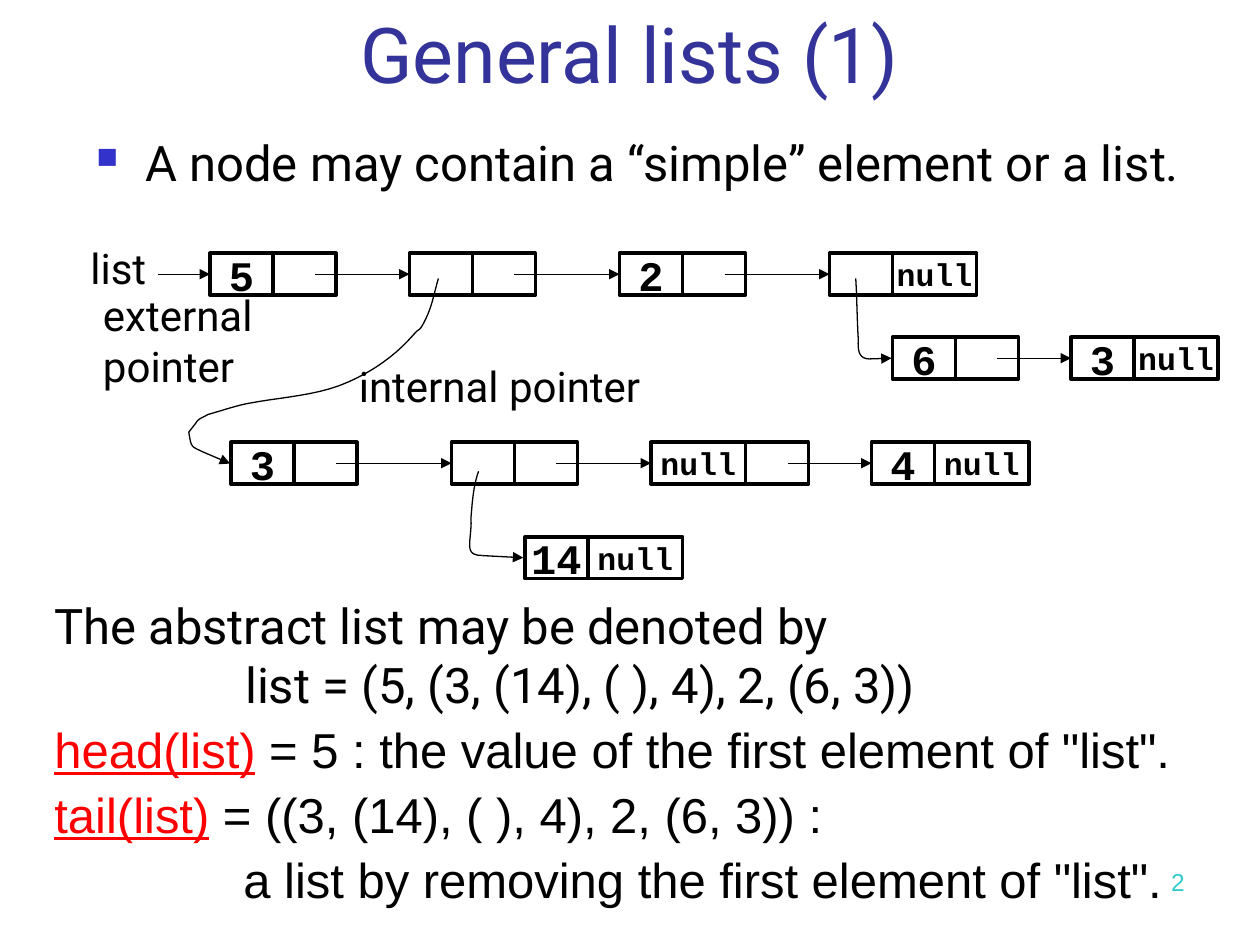
from lxml import etree
from pptx import Presentation
from pptx.dml.color import RGBColor
from pptx.enum.shapes import MSO_CONNECTOR, MSO_SHAPE
from pptx.enum.text import MSO_ANCHOR as ANCHOR, PP_ALIGN as ALIGN
from pptx.oxml.ns import qn
from pptx.util import Pt

BLACK = RGBColor(0x00, 0x00, 0x00)
NAVY = RGBColor(0x33, 0x33, 0x99)
BLUE = RGBColor(0x33, 0x33, 0xCC)
RED = RGBColor(0xFF, 0x00, 0x00)
TEAL = RGBColor(0x33, 0xCC, 0xCC)
CELL_H = 24
CELL_W = 36


def add_run(p, text, size, font="Roboto", color=BLACK, bold=False, underline=False):
    r = p.add_run()
    r.text = text
    f = r.font
    f.size, f.name, f.bold, f.underline = Pt(size), font, bold, underline
    f.color.rgb = color


def add_box(s, x, y, w, h, wrap=True):
    tf = s.shapes.add_textbox(Pt(x), Pt(y), Pt(w), Pt(h)).text_frame
    tf.word_wrap = wrap
    return tf


def add_label(s, x, y, w, h, *lines):
    tf = add_box(s, x, y, w, h, wrap=False)
    for i, line in enumerate(lines):
        p = tf.add_paragraph() if i else tf.paragraphs[0]
        add_run(p, line, 24)


def add_title(s, x, y, w, h):
    tf = add_box(s, x, y, w, h)
    tf.vertical_anchor = ANCHOR.MIDDLE
    p = tf.paragraphs[0]
    p.alignment = ALIGN.CENTER
    add_run(p, "General lists (1)", 44, color=NAVY)


def add_bullet(s, x, y, w, h):
    p = add_box(s, x, y, w, h).paragraphs[0]
    add_run(p, "A node may contain a “simple” element or a list.", 28)
    pPr = p._p.get_or_add_pPr()
    pPr.set("marL", str(Pt(28)))
    pPr.set("indent", str(Pt(-28)))
    clr = etree.SubElement(pPr, qn("a:buClr"))
    etree.SubElement(clr, qn("a:srgbClr"), val=str(BLUE))
    etree.SubElement(pPr, qn("a:buSzPct"), val="60000")
    etree.SubElement(pPr, qn("a:buChar"), char="■")


def add_cell(s, x, y, w, text):
    sp = s.shapes.add_shape(MSO_SHAPE.RECTANGLE, Pt(x), Pt(y), Pt(w), Pt(CELL_H))
    sp.shadow.inherit = False
    sp.fill.background()
    sp.line.color.rgb = BLACK
    sp.line.width = Pt(2)
    if text:
        tf = sp.text_frame
        tf.word_wrap = False
        tf.vertical_anchor = ANCHOR.MIDDLE
        p = tf.paragraphs[0]
        p.alignment = ALIGN.CENTER
        add_run(p, text, 18 if text == "null" else 24, "Courier New", bold=True)


def add_arrow(s, x1, y1, x2, y2):
    c = s.shapes.add_connector(MSO_CONNECTOR.STRAIGHT, Pt(x1), Pt(y1), Pt(x2), Pt(y2))
    c.line.color.rgb = BLACK
    c.line.width = Pt(0.75)
    etree.SubElement(c.line._get_or_add_ln(), qn("a:tailEnd"), type="triangle")
    etree.SubElement(c._element.spPr, qn("a:effectLst"))


def add_chain(s, x, y, nodes, null_w):
    """Draw linked nodes given as (offset, head, tail); a node without a tail links on."""
    for i, (dx, head, tail) in enumerate(nodes):
        head_w = null_w if head == "null" else CELL_W
        tail_x = x + dx + head_w
        add_cell(s, x + dx, y, head_w, head)
        add_cell(s, tail_x, y, null_w if tail else CELL_W, tail)
        if not tail:
            mid = y + CELL_H / 2
            add_arrow(s, tail_x + 24, mid, x + nodes[i + 1][0], mid)


def add_curved_pointer(s, x, y, curves, tip, steps=10):
    """Draw cubic curves from (x, y), then an arrow to tip; all offsets are from (x, y)."""
    points, start = [], (0, 0)
    for c1, c2, end in curves:
        for i in range(1, steps + 1):
            t = i / steps
            u = 1 - t
            px, py = (u**3 * a + 3 * u * u * t * b + 3 * u * t * t * c + t**3 * d
                      for a, b, c, d in zip(start, c1, c2, end))
            points.append((Pt(x + px), Pt(y + py)))
        start = end
    fb = s.shapes.build_freeform(Pt(x), Pt(y))
    fb.add_line_segments(points, close=False)
    sp = fb.convert_to_shape()
    sp.shadow.inherit = False
    sp.fill.background()
    sp.line.color.rgb = BLACK
    sp.line.width = Pt(0.75)
    add_arrow(s, x + start[0], y + start[1], x + tip[0], y + tip[1])


def add_diagram(s, x, y):
    """Draw the nested list; (x, y) is the top left corner of its first node."""
    add_label(s, x - 75.4, y - 9.4, 47, 36, "list")
    add_label(s, x - 68.2, y + 17.3, 113, 65, "external", "pointer")
    add_label(s, x + 78, y + 57.6, 191, 36, "internal pointer")
    add_arrow(s, x - 30, y + 12, x, y + 12)

    add_chain(s, x, y, [(0, "5", ""), (114, "", ""), (234, "2", ""),
                        (354, "", "null")], 48)
    add_chain(s, x + 390, y + 48, [(0, "6", ""), (102, "3", "null")], 48)
    add_chain(s, x + 12, y + 108, [(0, "3", ""), (126, "", ""), (240, "null", ""),
                                   (366, "4", "null")], 54)
    add_chain(s, x + 180, y + 162, [(0, "14", "null")], 54)

    add_curved_pointer(s, x + 369, y + 14.4, [
        ((0.7, 10.8), (0.7, 22.3), (1.4, 33.8)),
        ((1.4, 39.6), (0.7, 46), (7.9, 46)),
    ], (20.5, 45.6))
    add_curved_pointer(s, x + 130.5, y + 14.4, [
        ((-2.9, 10.1), (-3.6, 16.6), (-8.6, 25.9)),
        ((-11.5, 31), (-10.1, 27.4), (-14.4, 32.4)),
        ((-24.5, 43.9), (-36.7, 52.6), (-51.1, 59)),
        ((-68.4, 67), (-89.3, 67.7), (-108, 71.3)),
        ((-115.9, 72.7), (-123.8, 75.6), (-131.8, 77.8)),
        ((-133.9, 79.2), (-136.8, 79.9), (-138.2, 82.1)),
        ((-139.7, 84.2), (-142.6, 87.8), (-142.6, 87.8)),
        ((-141.1, 96.5), (-141.8, 95.8), (-133.9, 99.4)),
    ], (-119, 105.8))
    add_curved_pointer(s, x + 153.5, y + 124.6, [
        ((-2.9, 7.9), (-3.6, 17.3), (-4.3, 25.9)),
        ((-3.6, 40.3), (-9.4, 48.2), (2.2, 48.2)),
    ], (25.5, 49.4))


def add_definitions(s, x, y, w, h):
    tf = add_box(s, x, y, w, h)
    # indent, font, underlined term, rest of the line
    rows = [
        (0, "Roboto", "", "The abstract list may be denoted by"),
        (109, "Roboto", "", "list = (5, (3, (14), ( ), 4), 2, (6, 3))"),
        (0, "Arial", "head(list)", " = 5 : the value of the first element of \"list\"."),
        (0, "Arial", "tail(list)", " = ((3, (14), ( ), 4), 2, (6, 3)) :"),
        (108, "Arial", "", "a list by removing the first element of \"list\"."),
    ]
    for i, (indent, font, term, text) in enumerate(rows):
        p = tf.add_paragraph() if i else tf.paragraphs[0]
        p._p.get_or_add_pPr().set("indent", str(Pt(indent)))
        if font == "Arial":
            p.line_spacing = 0.9
            p.space_before = Pt(7)
        if term:
            add_run(p, term, 28, font, RED, underline=True)
        add_run(p, text, 28, font)


def add_page_number(s, x, y, w, h):
    p = add_box(s, x, y, w, h).paragraphs[0]
    p.alignment = ALIGN.RIGHT
    add_run(p, "2", 14, "Arial", TEAL)


def main():
    prs = Presentation()
    prs.slide_width, prs.slide_height = Pt(720), Pt(540)
    s = prs.slides.add_slide(prs.slide_layouts[6])
    add_title(s, 36, -6, 648, 72)
    add_bullet(s, 48, 72, 636, 75)
    add_diagram(s, 120, 144.7)
    add_definitions(s, 24, 337, 672, 186.5)
    add_page_number(s, 516, 492, 168, 37.5)
    prs.save("out.pptx")


if __name__ == "__main__":
    main()
